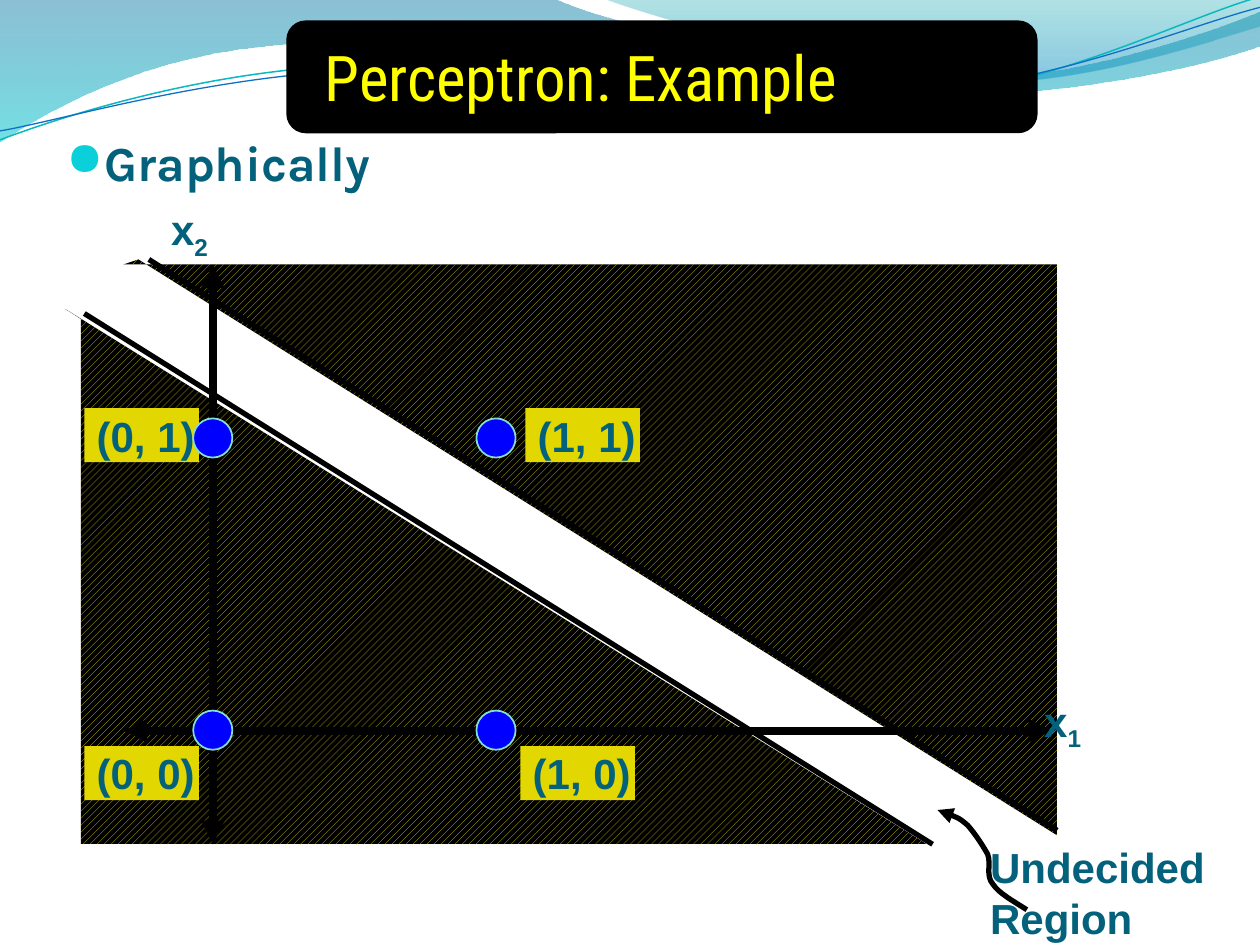
from dataclasses import dataclass
from typing import Optional

from lxml import etree
from pptx import Presentation
from pptx.dml.color import RGBColor
from pptx.enum.dml import MSO_PATTERN
from pptx.enum.shapes import MSO_CONNECTOR, MSO_SHAPE
from pptx.enum.text import MSO_ANCHOR, PP_ALIGN
from pptx.oxml.ns import qn
from pptx.util import Cm, Pt

HATCH = MSO_PATTERN.WIDE_UPWARD_DIAGONAL
STRAIGHT = MSO_CONNECTOR.STRAIGHT
RECT, ROUND_RECT, OVAL = MSO_SHAPE.RECTANGLE, MSO_SHAPE.ROUNDED_RECTANGLE, MSO_SHAPE.OVAL
TOP, MIDDLE, LEFT = MSO_ANCHOR.TOP, MSO_ANCHOR.MIDDLE, PP_ALIGN.LEFT

BLACK = RGBColor(0x00, 0x00, 0x00)
YELLOW = RGBColor(0xFF, 0xFF, 0x00)
GOLD = RGBColor(0xE2, 0xD7, 0x00)
PETROL = RGBColor(0x04, 0x61, 0x7B)
BLUE = RGBColor(0x00, 0x00, 0xFF)
MINT = RGBColor(0x85, 0xDF, 0xD0)
CYAN = RGBColor(0x0B, 0xD0, 0xD9)
TEAL_LINE = RGBColor(0x0A, 0xB8, 0xBF)
BLUE_LINE = RGBColor(0x0F, 0x6F, 0xC6)
SEA = RGBColor(0x00, 0x74, 0xA1)
AQUA = RGBColor(0x00, 0xC6, 0xCF)
LAGOON = RGBColor(0x00, 0xA1, 0xA9)
SKY = RGBColor(0x00, 0x8B, 0xBF)

ORIGIN_X, ORIGIN_Y = 4.29, 14.72
UNIT_X, UNIT_Y = 5.71, 5.89
DOT = 0.79


@dataclass
class Stop:
    """A gradient stop: position and opacity from 0 to 1."""
    position: float
    color: RGBColor
    opacity: float


@dataclass
class Outline:
    """A path in cm: two numbers are a line, six a Bézier curve."""
    start: tuple
    segments: list
    stops: tuple = ()
    color: Optional[RGBColor] = None
    width: float = 0
    arrow: bool = False


@dataclass
class Point:
    """An input point of the perceptron and the corner of its label in cm."""
    x1: int
    x2: int
    label_x: float
    label_y: float


@dataclass
class Line:
    """A straight line in cm, with arrowheads at both ends if asked."""
    start: tuple
    end: tuple
    width: float
    arrows: bool = False


WAVES = [
    Outline((0, -0.03), [
        (11.18, -0.03), (12.09, 0.43, 16.87, 1.6, 19.25, 1.6),
        (21.67, 1.6, 24.33, 0.66, 25.4, 0.23), (25.43, 0.91),
        (24.97, 1.12, 22.1, 1.93, 18.95, 1.9), (15.8, 1.9, 9.7, 0.71, 6.53, 0.86),
        (3.28, 0.89, 1.17, 2.11, -0.03, 2.87)],
        stops=(Stop(0, SEA, 0.45), Stop(1, AQUA, 0.55))),
    Outline((12.17, -0.03), [
        (12.93, 0.28, 17.32, 1.57, 19.53, 1.65),
        (21.74, 1.75, 24.41, 0.81, 25.4, 0.53), (25.4, 0)],
        stops=(Stop(0, LAGOON, 0.3), Stop(0.8, SKY, 0.45))),
    Outline((0, 2.82), [
        (1.22, 2.36, 4.01, 1.45, 7.04, 1.32), (10.03, 1.19, 15.06, 2.26, 18.11, 2.03),
        (21.16, 1.8, 23.83, 0.38, 25.35, -0.05)], color=TEAL_LINE, width=0.85),
    Outline((0, 2.64), [
        (1.19, 2.44, 4.14, 1.55, 7.19, 1.42), (10.24, 1.3, 15.16, 2.11, 18.21, 1.9),
        (21.23, 1.7, 23.9, 0.53, 25.4, 0.15)], color=BLUE_LINE, width=0.75),
]
REGIONS = [
    Outline((2.79, 5.23), [(21.31, 16.84), (21.31, 5.33), (2.49, 5.33)]),
    Outline((1.3, 6.22), [(18.69, 17.02), (1.63, 17.02), (1.63, 6.43)]),
]
POINTER = Outline((20.7, 18.34), [
    (20.42, 18.16, 20.14, 18.01, 20.02, 17.83), (19.86, 17.65, 19.99, 17.42, 19.91, 17.22),
    (19.81, 17.04, 19.66, 16.81, 19.51, 16.64), (19.33, 16.48, 19.13, 16.41, 18.9, 16.33)],
    color=BLACK, width=3, arrow=True)
AXES = [Line((4.29, 5.33), (4.29, 17.02), 4.5, True),
        Line((2.49, 14.73), (21.21, 14.73), 4.5, True)]
BOUNDARIES = [Line((3, 5.23), (21.31, 16.74), 3), Line((1.7, 6.32), (18.8, 17.02), 3)]
POINTS = [Point(1, 1, 10.59, 8.23), Point(0, 1, 1.7, 8.23),
          Point(0, 0, 1.7, 15.04), Point(1, 0, 10.49, 15.04)]


def add_arrowheads(line, *ends: str) -> None:
    """Put triangles on the named ends of a line."""
    for end in ends:
        etree.SubElement(line._get_or_add_ln(), qn(f"a:{end}"), type="triangle")


def add_outline(s, outline: Outline):
    """Draw a path of lines and curves; it is closed unless it has a line colour."""
    points = [seg[i:i + 2] for seg in outline.segments for i in range(0, len(seg), 2)]
    fb = s.shapes.build_freeform(*(Cm(v) for v in outline.start))
    fb.add_line_segments([(Cm(x), Cm(y)) for x, y in points], close=outline.color is None)
    sp = fb.convert_to_shape()
    sp.shadow.inherit = False
    steps = iter(list(sp._element.iter(qn("a:lnTo"))))
    for seg in outline.segments:
        step = next(steps)
        if len(seg) == 6:
            step.tag = qn("a:cubicBezTo")
            for _ in range(2):
                control = next(steps)
                step.append(control[0])
                control.getparent().remove(control)
    if outline.color is None:
        sp.line.fill.background()
    else:
        sp.fill.background()
        sp.line.color.rgb = outline.color
        sp.line.width = Pt(outline.width)
    if outline.arrow:
        add_arrowheads(sp.line, "tailEnd")
    if outline.stops:
        sp.fill.gradient()
        sp.fill.gradient_angle = 270
        for stop, spec in zip(sp.fill.gradient_stops, outline.stops):
            stop.position = spec.position
            stop.color.rgb = spec.color
            color = stop._gs.find(qn("a:srgbClr"))
            etree.SubElement(color, qn("a:alpha"), val=str(round(spec.opacity * 100000)))
    return sp


def add_line(s, line: Line) -> None:
    """Draw a straight black line."""
    cx = s.shapes.add_connector(STRAIGHT, *(Cm(v) for v in line.start + line.end))
    cx.line.color.rgb = BLACK
    cx.line.width = Pt(line.width)
    if line.arrows:
        add_arrowheads(cx.line, "headEnd", "tailEnd")
    etree.SubElement(cx._element.spPr, qn("a:effectLst"))


def add_shape(s, kind, box: tuple, fill: RGBColor, line: Optional[RGBColor] = None):
    """Draw a filled preset shape, its box in cm."""
    sp = s.shapes.add_shape(kind, *(Cm(v) for v in box))
    sp.shadow.inherit = False
    sp.fill.solid()
    sp.fill.fore_color.rgb = fill
    if line is None:
        sp.line.fill.background()
    else:
        sp.line.color.rgb = line
        sp.line.width = Pt(1)
    return sp


def write(sp, text: str, *, font="Arial", size=24, color=PETROL, bold=True,
          anchor=MIDDLE, sub="", wrap=False, bullet=False) -> None:
    """Write left-aligned paragraphs, with an optional subscript and bullet."""
    tf = sp.text_frame
    tf.word_wrap = wrap
    tf.vertical_anchor = anchor
    for i, words in enumerate(text.split("\n")):
        p = tf.add_paragraph() if i else tf.paragraphs[0]
        p.alignment = LEFT
        if bullet:
            p.line_spacing = 0.8
            pPr = p._p.get_or_add_pPr()
            pPr.set("marL", str(Cm(0.76)))
            pPr.set("indent", str(Cm(-0.76)))
            tint = etree.SubElement(pPr, qn("a:buClr"))
            etree.SubElement(tint, qn("a:srgbClr"), val=str(CYAN))
            etree.SubElement(pPr, qn("a:buSzPct"), val="95000")
            etree.SubElement(pPr, qn("a:buChar"), char="●")
        for part in filter(None, (words, sub)):
            r = p.add_run()
            r.text = part
            r.font.name, r.font.size, r.font.bold = font, Pt(size), bold
            r.font.color.rgb = color
        if sub:
            r._r.get_or_add_rPr().set("baseline", "-25000")


def add_text(s, box: tuple, text: str, **fmt) -> None:
    """Add a text box, its box in cm."""
    write(s.shapes.add_textbox(*(Cm(v) for v in box)), text, **fmt)


def main() -> None:
    """Build the slide and save it."""
    prs = Presentation()
    prs.slide_width, prs.slide_height = Cm(25.4), Cm(19.05)
    s = prs.slides.add_slide(prs.slide_layouts[6])
    for wave in WAVES:
        add_outline(s, wave)
    add_shape(s, ROUND_RECT, (5.79, 0.43, 15.11, 2.24), BLACK, BLACK)
    add_text(s, (6.3, 0.66, 14.2, 1.57), "Perceptron: Example", font="Roboto Condensed",
             size=36, color=YELLOW, bold=False, anchor=TOP)
    add_text(s, (1.09, 2.77, 11.23, 1.47), "Graphically", font="Karla", size=28,
             anchor=TOP, wrap=True, bullet=True)
    add_text(s, (19.71, 17.12, 5.49, 1.73), "Undecided\nRegion")
    for region in REGIONS:
        fill = add_outline(s, region).fill
        fill.patterned()
        fill.pattern = HATCH
        fill.fore_color.rgb, fill.back_color.rgb = GOLD, BLACK
    for axis in AXES:
        add_line(s, axis)
    add_text(s, (20.8, 13.94, 2.31, 1.3), "x", sub="1")
    add_text(s, (3.2, 4.04, 2.31, 1.3), "x", sub="2")
    for boundary in BOUNDARIES:
        add_line(s, boundary)
    add_outline(s, POINTER)
    for pt in POINTS:
        label = add_shape(s, RECT, (pt.label_x, pt.label_y, 2.31, 1.09), GOLD)
        write(label, f"({pt.x1}, {pt.x2})")
    for pt in POINTS:
        x, y = ORIGIN_X + pt.x1 * UNIT_X, ORIGIN_Y - pt.x2 * UNIT_Y
        add_shape(s, OVAL, (x - DOT / 2, y - DOT / 2, DOT, DOT), BLUE, MINT)
    prs.save("out.pptx")


if __name__ == "__main__":
    main()
